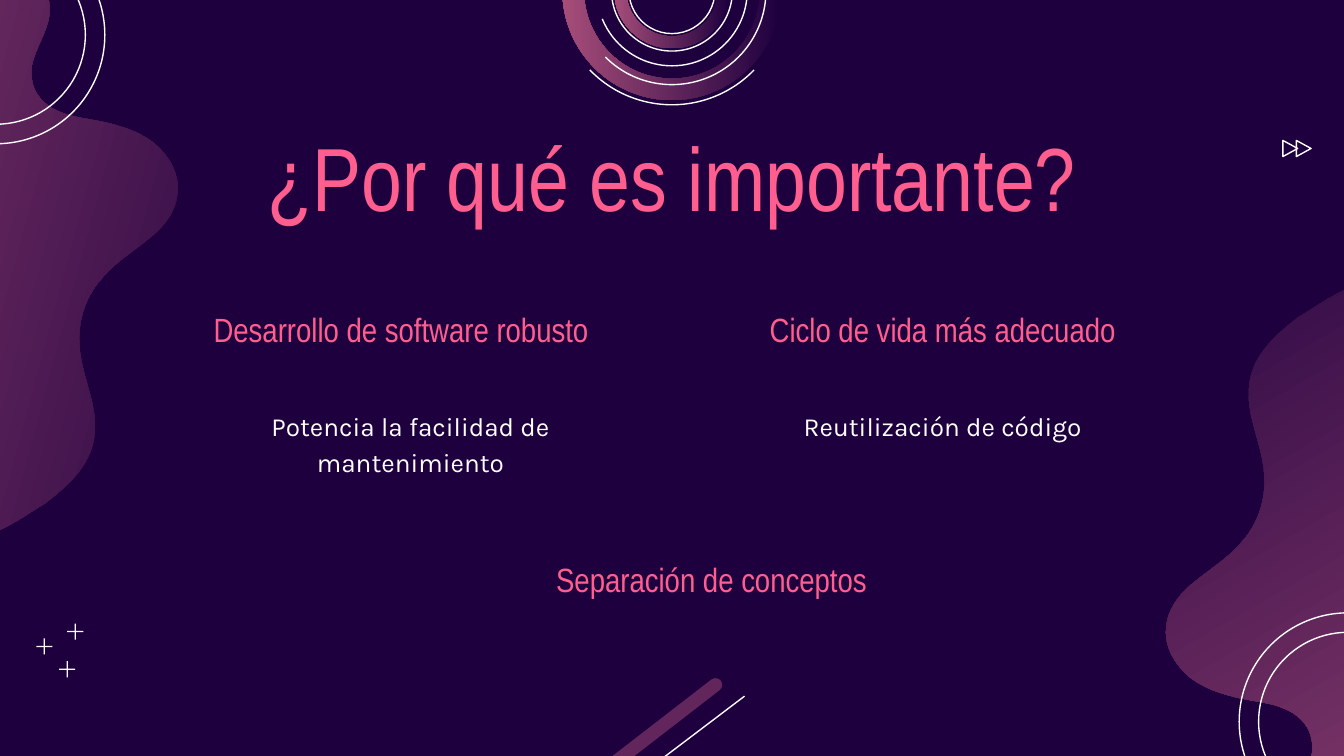
from math import cos, radians, sin

from lxml.etree import SubElement
from pptx import Presentation
from pptx.dml.color import RGBColor
from pptx.enum.shapes import MSO_CONNECTOR, MSO_SHAPE
from pptx.enum.text import MSO_ANCHOR, PP_ALIGN
from pptx.oxml.ns import qn
from pptx.util import Inches, Pt

NIGHT, MAUVE, PINK, WHITE = "1E003F", "A64D79", "FF5E8E", "FFFFFF"


def paint(shape, fill=None, line=None, angle=None):
    shape.shadow.inherit = False
    if angle is not None:
        shape.fill.gradient()
        shape.fill.gradient_angle = (360 - angle) % 360
        for stop, shade in zip(shape.fill.gradient_stops, (NIGHT, MAUVE)):
            stop.color.rgb = RGBColor.from_string(shade)
    elif fill:
        shape.fill.solid()
        shape.fill.fore_color.rgb = RGBColor.from_string(fill)
    else:
        shape.fill.background()
    if line:
        shape.line.color.rgb = RGBColor.from_string(line)
        shape.line.width = Pt(0.75)
    else:
        shape.line.fill.background()


def add_preset(kind, left, top, width, height):
    return page.shapes.add_shape(kind, Inches(left), Inches(top), Inches(width), Inches(height))


deck = Presentation()
deck.slide_width = Inches(10)
deck.slide_height = deck.slide_width * 9 // 16
page = deck.slides.add_slide(deck.slide_layouts[6])
page.background.fill.solid()
page.background.fill.fore_color.rgb = RGBColor.from_string(NIGHT)

blob_start = (-1.11, -0.1)
blob_curves = [
    (-1.38, 0.05, -1.6, 0.27, -1.76, 0.55), (-1.89, 0.78, -1.96, 1.04, -1.91, 1.3),
    (-1.86, 1.57, -1.67, 1.8, -1.57, 2.05), (-1.46, 2.31, -1.44, 2.59, -1.51, 2.86),
    (-1.55, 3.03, -1.62, 3.19, -1.61, 3.37), (-1.59, 3.55, -1.48, 3.71, -1.35, 3.84),
    (-1.25, 3.95, -1.14, 4.05, -1.01, 4.11), (-0.79, 4.19, -0.54, 4.15, -0.32, 4.07),
    (-0.17, 4.02, -0.02, 3.95, 0.12, 3.87), (0.19, 3.83, 0.26, 3.78, 0.33, 3.74),
    (0.5, 3.61, 0.67, 3.46, 0.7, 3.25), (0.74, 3.01, 0.6, 2.79, 0.59, 2.55),
    (0.58, 2.37, 0.64, 2.19, 0.76, 2.06), (0.85, 1.95, 0.98, 1.87, 1.09, 1.78),
    (1.21, 1.69, 1.31, 1.57, 1.32, 1.43), (1.34, 1.28, 1.25, 1.14, 1.14, 1.05),
    (1.02, 0.96, 0.88, 0.92, 0.73, 0.89), (0.63, 0.87, 0.53, 0.86, 0.44, 0.82),
    (0.34, 0.78, 0.26, 0.7, 0.24, 0.6), (0.19, 0.42, 0.37, 0.25, 0.37, 0.06),
    (0.38, -0.4, -0.24, -0.37, -0.54, -0.32), (-0.74, -0.28, -0.93, -0.2, -1.11, -0.1),
]
steps = 12
curve_points = [blob_start]
for x1, y1, x2, y2, x3, y3 in blob_curves:
    x0, y0 = curve_points[-1]
    for step in range(1, steps + 1):
        t = step / steps
        weights = ((1 - t) ** 3, 3 * t * (1 - t) ** 2, 3 * t * t * (1 - t), t ** 3)
        curve_points.append((
            sum(w * x for w, x in zip(weights, (x0, x1, x2, x3))),
            sum(w * y for w, y in zip(weights, (y0, y1, y2, y3))),
        ))

tilt = radians(30)
blob_points = [
    (Inches(x * cos(tilt) - y * sin(tilt)), Inches(x * sin(tilt) + y * cos(tilt)))
    for x, y in curve_points
]
for left, top, rotation, angle in [(-2.26, -0.16, 330, 225), (8.63, 2.21, 150, 270)]:
    builder = page.shapes.build_freeform(*blob_points[0])
    builder.add_line_segments(blob_points[1:], close=True)
    blob = builder.convert_to_shape()
    blob.left, blob.top, blob.rotation = Inches(left), Inches(top), rotation
    paint(blob, angle=angle)

for x, y in [(0.33, 4.81), (0.5, 4.98), (0.56, 4.7)]:
    for width, height in [(0.01, 0.12), (0.12, 0.01)]:
        bar = add_preset(MSO_SHAPE.RECTANGLE, x - width / 2, y - height / 2, width, height)
        paint(bar, fill=WHITE)

for left in (9.64, 9.54):
    arrow = add_preset(MSO_SHAPE.ISOSCELES_TRIANGLE, left, 1.05, 0.12, 0.11)
    arrow.rotation = 90
    paint(arrow, line=WHITE)

for x, y in [(-0.03, 0.26), (10.03, 5.37)]:
    for size in (1.33, 1.62):
        circle = add_preset(MSO_SHAPE.OVAL, x - size / 2, y - size / 2, size, size)
        paint(circle, line=WHITE)

stick = add_preset(MSO_SHAPE.ROUNDED_RECTANGLE, 3.68, 5.59, 1.88, 0.1)
stick.adjustments[0] = 0.5
stick.rotation = -37.7
paint(stick, fill="62265C")

stroke = page.shapes.add_connector(
    MSO_CONNECTOR.STRAIGHT, Inches(5.54), Inches(5.18), Inches(4.67), Inches(5.84))
stroke.line.color.rgb = RGBColor.from_string(WHITE)
stroke.line.width = Pt(0.75)
SubElement(stroke._element.spPr, qn("a:effectLst"))

title_style = (48, "Arial Narrow", PINK, MSO_ANCHOR.MIDDLE)
heading_style = (18, "Arial Narrow", PINK, MSO_ANCHOR.BOTTOM)
body_style = (14, "Karla", WHITE, MSO_ANCHOR.TOP)
texts = [
    ("¿Por qué es importante?", 1.35, 0.86, 7.3, 0.9, title_style),
    ("Desarrollo de software robusto", 1.35, 2.27, 3.27, 0.43, heading_style),
    ("Ciclo de vida más adecuado", 5.38, 2.27, 3.27, 0.43, heading_style),
    ("Potencia la facilidad de mantenimiento", 1.42, 2.92, 3.27, 0.43, body_style),
    ("Reutilización de código", 5.38, 2.92, 3.27, 0.43, body_style),
    ("Separación de conceptos", 3.66, 4.13, 3.27, 0.43, heading_style),
]
for text, left, top, width, height, (size, font, shade, anchor) in texts:
    box = page.shapes.add_textbox(Inches(left), Inches(top), Inches(width), Inches(height))
    frame = box.text_frame
    frame.word_wrap = True
    frame.vertical_anchor = anchor
    frame.margin_left = frame.margin_right = Inches(0.1)
    frame.margin_top = frame.margin_bottom = Inches(0.1)
    para = frame.paragraphs[0]
    para.text = text
    para.alignment = PP_ALIGN.CENTER
    if size < 48:
        para.line_spacing = 1.15
        para.space_after = Pt(12)
    span = para.runs[0]
    span.font.size = Pt(size)
    span.font.name = font
    span.font.color.rgb = RGBColor.from_string(shade)

ring_x, ring_y = 5, -0.07
for size, thickness in [(0.86, 0.09), (1.63, 0.16)]:
    ring = add_preset(MSO_SHAPE.DONUT, ring_x - size / 2, ring_y - size / 2, size, size)
    ring.adjustments[0] = thickness / size
    paint(ring, angle=180)

for radius, start, end in [(0.85, 44, 136), (0.32, 0, 270), (0.7, 225, 135),
                           (0.45, 0, 270), (0.56, 202, 158)]:
    arc = add_preset(MSO_SHAPE.ARC, ring_x - radius, ring_y - radius, 2 * radius, 2 * radius)
    arc.adjustments[0], arc.adjustments[1] = start * 0.6, end * 0.6
    paint(arc, line=WHITE)

deck.save("out.pptx")
